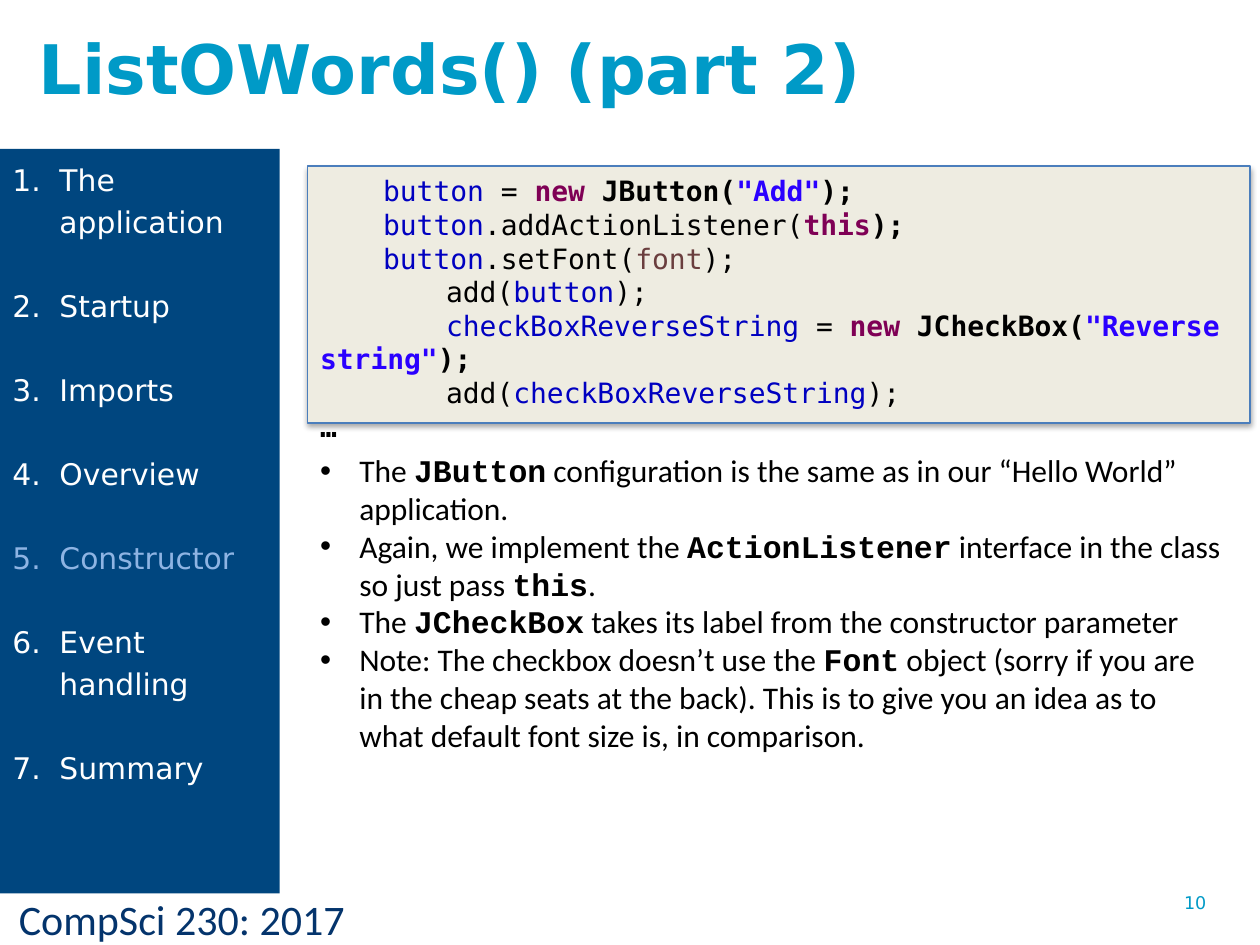
from lxml.etree import SubElement
from pptx import Presentation
from pptx.dml.color import RGBColor
from pptx.enum.shapes import MSO_SHAPE as Shape
from pptx.enum.text import MSO_ANCHOR as Anchor, MSO_AUTO_SIZE as AutoSize, PP_ALIGN as Align
from pptx.oxml.ns import qn
from pptx.util import Cm, Pt

BLACK = RGBColor(0x00, 0x00, 0x00)
WHITE = RGBColor(0xFF, 0xFF, 0xFF)
CYAN = RGBColor(0x00, 0x9A, 0xC7)
FOOTER_NAVY = RGBColor(0x04, 0x34, 0x6C)
SIDEBAR_BLUE = RGBColor(0x00, 0x46, 0x7F)
CURRENT_BLUE = RGBColor(0x8E, 0xB4, 0xE3)
PANEL_CREAM = RGBColor(0xEE, 0xEC, 0xE1)
PANEL_EDGE = RGBColor(0x4B, 0x7E, 0xBC)
FIELD = RGBColor(0x00, 0x00, 0xC0)
KEYWORD = RGBColor(0x7F, 0x00, 0x55)
STRING = RGBColor(0x2A, 0x00, 0xFF)
LOCAL = RGBColor(0x6A, 0x3E, 0x3E)

SANS, MONO = "DejaVu Sans", "DejaVu Sans Mono"
BODY, INLINE_CODE = "Calibri", "Courier New"

SECTIONS = ["The application", "Startup", "Imports", "Overview",
            "Constructor", "Event handling", "Summary"]
CURRENT_SECTION = "Constructor"

CODE = [
    [("\tbutton ", FIELD, False), ("= ", BLACK, False), ("new ", KEYWORD, True),
     ("JButton(", BLACK, True), ('"Add"', STRING, True), (");", BLACK, True)],
    [("\tbutton", FIELD, False), (".addActionListener(", BLACK, False),
     ("this", KEYWORD, True), (");", BLACK, True)],
    [("\tbutton", FIELD, False), (".setFont(", BLACK, False),
     ("font", LOCAL, False), (");", BLACK, False)],
    [("\t\tadd(", BLACK, False), ("button", FIELD, False), (");", BLACK, False)],
    [("\t\tcheckBoxReverseString ", FIELD, False), ("= ", BLACK, False),
     ("new ", KEYWORD, True), ("JCheckBox(", BLACK, True),
     ('"Reverse string"', STRING, True), (");", BLACK, True)],
    [("\t\tadd(", BLACK, False), ("checkBoxReverseString", FIELD, False),
     (");", BLACK, False)],
    [("…", BLACK, True)],
]

NOTES = [
    "The `JButton` configuration is the same as in our “Hello World” application.",
    "Again, we implement the `ActionListener` interface in the class so just pass `this`.",
    "The `JCheckBox` takes its label from the constructor parameter",
    "Note: The checkbox doesn’t use the `Font` object (sorry if you are in the cheap seats "
    "at the back). This is to give you an idea as to what default font size is, in comparison.",
]


def place(shape, left, top, width, height):
    """Move and size a shape, with lengths in centimetres."""
    shape.left, shape.top = Cm(left), Cm(top)
    shape.width, shape.height = Cm(width), Cm(height)


def style(run, font, size, color, bold=False):
    """Set the typeface, size, colour and weight of a run."""
    run.font.name, run.font.size, run.font.bold = font, Pt(size), bold
    run.font.color.rgb = color


def prepare_frame(shape, anchor=Anchor.TOP):
    """Return the wrapping text frame of a shape at a fixed size."""
    frame = shape.text_frame
    frame.word_wrap = True
    frame.auto_size = AutoSize.NONE
    frame.vertical_anchor = anchor
    return frame


def add_paragraphs(frame, items):
    """Yield a left-aligned paragraph of the frame with each item."""
    for index, item in enumerate(items):
        paragraph = frame.add_paragraph() if index else frame.paragraphs[0]
        paragraph.alignment = Align.LEFT
        paragraph.space_before = Pt(0)
        yield paragraph, item


def set_bullet(paragraph, tag, hanging=0, **attributes):
    """Give a paragraph a bullet element and a hanging indent in centimetres."""
    properties = paragraph._p.get_or_add_pPr()
    properties.set("marL", str(Cm(hanging)))
    properties.set("indent", str(-Cm(hanging)))
    SubElement(properties, qn(tag), attributes)
    return properties


def fill_title(title, text):
    """Format the slide title."""
    place(title, 0.53, 0.36, 18.11, 1.98)
    frame = prepare_frame(title, Anchor.MIDDLE)
    frame.text = text
    frame.paragraphs[0].alignment = Align.LEFT
    style(frame.paragraphs[0].runs[0], SANS, 39, CYAN, True)


def add_panel(slide, listing):
    """Draw the shadowed panel behind the code listing."""
    panel = slide.shapes.add_shape(Shape.RECTANGLE, Cm(6.2), Cm(3.35), Cm(19), Cm(5.18))
    panel.fill.solid()
    panel.fill.fore_color.rgb = PANEL_CREAM
    panel.line.color.rgb = PANEL_EDGE
    panel.line.width = Pt(0.75)
    panel.shadow.inherit = False
    effects = panel.element.spPr.find(qn("a:effectLst"))
    shadow = SubElement(effects, qn("a:outerShdw"), blurRad="40000", dist="23000",
                        dir="5400000", rotWithShape="0")
    shade = SubElement(shadow, qn("a:srgbClr"), val=str(BLACK))
    SubElement(shade, qn("a:alpha"), val="35000")
    listing.element.addprevious(panel.element)


def fill_code(listing):
    """Write the coloured code with its tab stops."""
    place(listing, 6.2, 3.38, 19.2, 5.16)
    for paragraph, tokens in add_paragraphs(prepare_frame(listing), CODE):
        properties = set_bullet(paragraph, "a:buNone")
        stops = SubElement(properties, qn("a:tabLst"))
        for level in (1, 2):
            SubElement(stops, qn("a:tab"), pos=str(Cm(1.27 * level)), algn="l")
        paragraph.line_spacing = Pt(19.2)
        for text, color, bold in tokens:
            run = paragraph.add_run()
            run.text = text
            style(run, MONO, 16, color, bold)


def fill_notes(notes):
    """Write the bulleted notes, with backticked names as code."""
    place(notes, 6.2, 8.97, 18.75, 6.4)
    for paragraph, note in add_paragraphs(prepare_frame(notes), NOTES):
        set_bullet(paragraph, "a:buChar", 0.79, char="•")
        for index, text in enumerate(note.split("`")):
            is_code = index % 2 == 1
            run = paragraph.add_run()
            run.text = text
            style(run, INLINE_CODE if is_code else BODY, 18, BLACK, is_code)


def add_sidebar(slide):
    """Draw the numbered section list with the current section dimmed."""
    sidebar = slide.shapes.add_shape(Shape.RECTANGLE, 0, Cm(3), Cm(5.64), Cm(15.01))
    sidebar.shadow.inherit = False
    sidebar.fill.solid()
    sidebar.fill.fore_color.rgb = SIDEBAR_BLUE
    sidebar.line.fill.background()
    for paragraph, section in add_paragraphs(prepare_frame(sidebar), SECTIONS):
        set_bullet(paragraph, "a:buAutoNum", 0.95, type="arabicPeriod")
        paragraph.line_spacing = paragraph.space_after = Pt(24)
        paragraph.text = section
        color = CURRENT_BLUE if section == CURRENT_SECTION else WHITE
        style(paragraph.runs[0], SANS, 17, color)


def add_label(slide, text, box, font, size, color):
    """Add a one-line label at the foot of the slide."""
    label = slide.shapes.add_textbox(*map(Cm, box))
    frame = prepare_frame(label)
    frame.text = text
    style(frame.paragraphs[0].runs[0], font, size, color)


def main():
    """Build the slide and save it."""
    deck = Presentation()
    deck.slide_width, deck.slide_height = Cm(25.4), Cm(19.05)
    slide = deck.slides.add_slide(deck.slide_layouts[3])
    title, listing, notes = slide.placeholders
    add_label(slide, "CompSci 230: 2017", (0.13, 17.88, 10.29, 1.27), BODY, 24, FOOTER_NAVY)
    add_label(slide, "10", (23.62, 17.86, 1.78, 1.32), SANS, 10, CYAN)
    fill_title(title, "ListOWords() (part 2)")
    add_panel(slide, listing)
    fill_code(listing)
    fill_notes(notes)
    add_sidebar(slide)
    deck.save("out.pptx")


if __name__ == "__main__":
    main()
